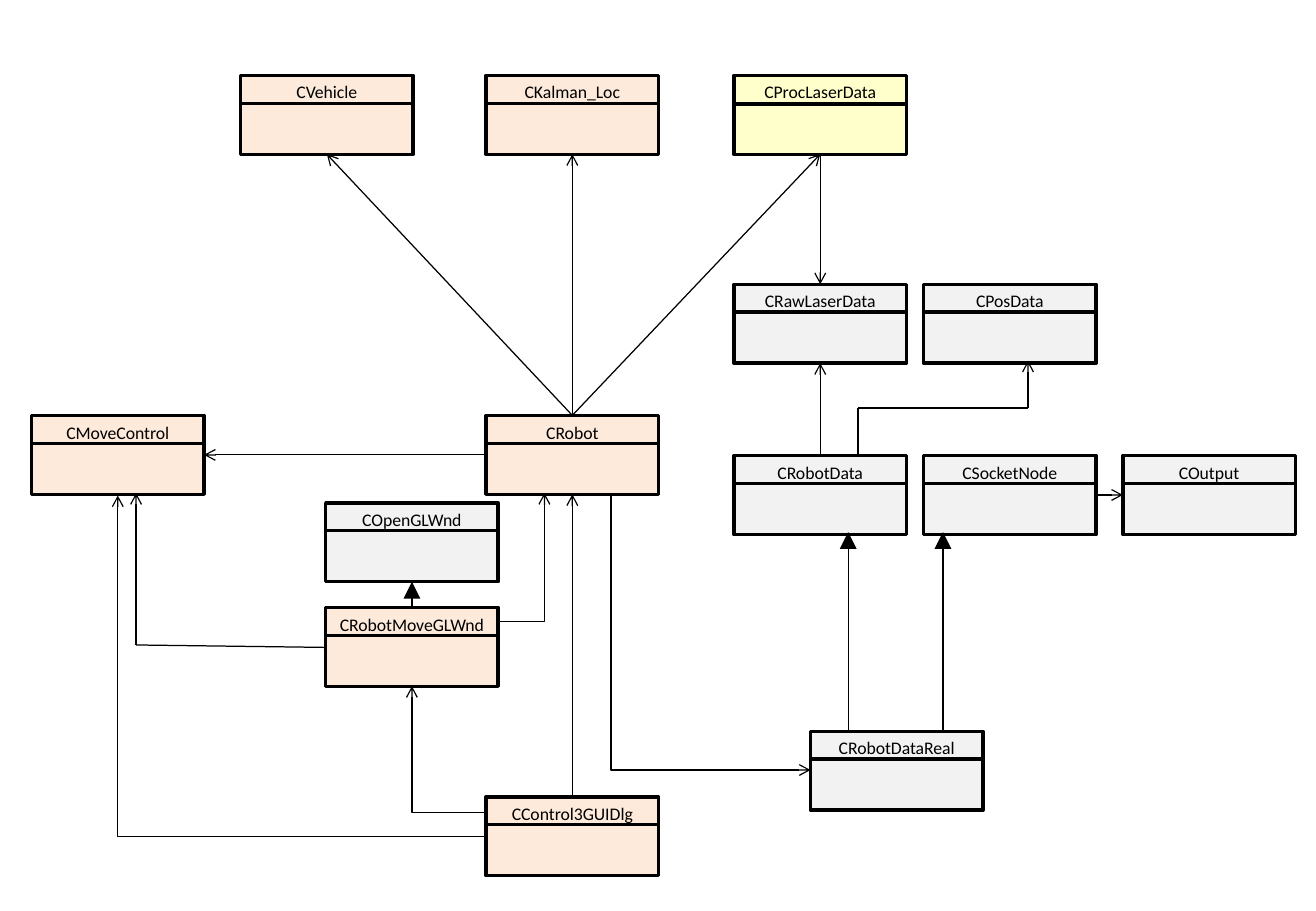
from lxml.etree import SubElement
from pptx import Presentation
from pptx.dml.color import RGBColor
from pptx.enum.shapes import MSO_CONNECTOR, MSO_SHAPE
from pptx.enum.text import MSO_ANCHOR, PP_ALIGN
from pptx.oxml.ns import qn
from pptx.util import Emu, Pt

PIXEL = 9144  # 100 px to the inch
BOX_WIDTH, BOX_HEIGHT = 142, 65
DIVIDER_OFFSET, TITLE_HEIGHT = 23, 25
TOP, LEFT, BOTTOM, RIGHT = range(4)
BLACK, PEACH, YELLOW, GRAY = "000000", "FDEADA", "FFFFCC", "F2F2F2"

CLASSES = [
    ("CVehicle", 198, 62, PEACH),
    ("CKalman_Loc", 400, 62, PEACH),
    ("CProcLaserData", 604, 62, YELLOW),
    ("COpenGLWnd", 268, 414, GRAY),
    ("CPosData", 760, 234, GRAY),
    ("CRawLaserData", 604, 234, GRAY),
    ("CRobot", 400, 342, PEACH),
    ("CMoveControl", 26, 342, PEACH),
    ("CRobotMoveGLWnd", 268, 500, PEACH),
    ("CControl3GUIDlg", 400, 656, PEACH),
    ("CRobotData", 604, 375, GRAY),
    ("CSocketNode", 760, 375, GRAY),
    ("COutput", 924, 375, GRAY),
    ("CRobotDataReal", 667, 602, GRAY),
]

# Source class and side, target class and side, arrowhead at the target
JOINS = [
    ("CRobot", TOP, "CKalman_Loc", BOTTOM, "arrow"),
    ("CRobot", LEFT, "CMoveControl", RIGHT, "arrow"),
    ("CControl3GUIDlg", TOP, "CRobot", BOTTOM, "arrow"),
    ("CRobotMoveGLWnd", TOP, "COpenGLWnd", BOTTOM, "triangle"),
    ("CRobotData", TOP, "CRawLaserData", BOTTOM, "arrow"),
    ("CProcLaserData", BOTTOM, "CRawLaserData", TOP, "arrow"),
    ("CSocketNode", RIGHT, "COutput", LEFT, "arrow"),
    ("CRobot", TOP, "CVehicle", BOTTOM, "arrow"),
    ("CRobot", TOP, "CProcLaserData", BOTTOM, "arrow"),
]

# Start, end, and the end that carries the arrowhead
ELBOWS = [
    ((400, 689), (97, 408), "tailEnd"),
    ((400, 669), (339, 565), "tailEnd"),
    ((410, 512), (448, 406), "tailEnd"),
    ((667, 634), (503, 406), "headEnd"),
]

ROUTES = [
    ([(268, 533), (112, 531), (112, 406)], "arrow"),
    ([(698, 602), (698, 438)], "triangle"),
    ([(776, 602), (776, 438)], "triangle"),
    ([(706, 375), (706, 336), (846, 336), (846, 297)], "arrow"),
]


def px(value):
    return Emu(value * PIXEL)


def color(hex_string):
    return RGBColor.from_string(hex_string)


def set_line(line, width):
    line.color.rgb = color(BLACK)
    line.width = Pt(width)


def add_line(shapes, start, end, width=0.75, kind=MSO_CONNECTOR.STRAIGHT):
    connector = shapes.add_connector(kind, *map(px, start + end))
    set_line(connector.line, width)
    SubElement(connector.element.spPr, qn("a:effectLst"))
    return connector


def add_arrowhead(connector, head, end="tailEnd"):
    size = "lg" if head == "triangle" else "med"
    line_xml = connector.element.spPr.find(qn("a:ln"))
    SubElement(line_xml, qn(f"a:{end}"), type=head, w=size, len=size)


def add_rectangle(shapes, left, top, height, width):
    shape = shapes.add_shape(
        MSO_SHAPE.RECTANGLE, px(left), px(top), px(BOX_WIDTH), px(height))
    shape.shadow.inherit = False
    set_line(shape.line, width)
    return shape


def add_title(shapes, name, left, top, outlined):
    if outlined:
        title = add_rectangle(shapes, left, top, TITLE_HEIGHT, 0.75)
        title.fill.background()
    else:
        title = shapes.add_textbox(
            px(left), px(top), px(BOX_WIDTH), px(TITLE_HEIGHT))
    frame = title.text_frame
    frame.word_wrap = True
    frame.vertical_anchor = MSO_ANCHOR.TOP
    frame.margin_left = frame.margin_right = 0
    paragraph = frame.paragraphs[0]
    paragraph.alignment = PP_ALIGN.CENTER
    run = paragraph.add_run()
    run.text = name
    run.font.name = "Calibri"
    run.font.size = Pt(10.5)
    run.font.color.rgb = color(BLACK)


def add_class(slide, name, left, top, fill):
    """Draw a class box with its name above a divider; return the box."""
    shapes = slide.shapes.add_group_shape().shapes
    box = add_rectangle(shapes, left, top, BOX_HEIGHT, 2)
    box.fill.solid()
    box.fill.fore_color.rgb = color(fill)
    divider = top + DIVIDER_OFFSET
    add_line(shapes, (left, divider), (left + BOX_WIDTH, divider), 2)
    add_title(shapes, name, left, top, outlined=fill == YELLOW)
    return box


def add_join(slide, source, source_side, target, target_side, head):
    connector = add_line(slide.shapes, (0, 0), (0, 0))
    connector.begin_connect(source, source_side)
    connector.end_connect(target, target_side)
    add_arrowhead(connector, head)


def add_elbow(slide, start, end, arrow_end):
    """Draw a connector that runs sideways first, then turns once."""
    connector = add_line(slide.shapes, start, end, kind=MSO_CONNECTOR.ELBOW)
    geometry = connector.element.spPr.find(qn("a:prstGeom"))
    geometry.set("prst", "bentConnector2")
    add_arrowhead(connector, "arrow", arrow_end)


def add_route(slide, points, head):
    """Draw straight segments through the points, with a head on the last."""
    for start, end in zip(points, points[1:]):
        segment = add_line(slide.shapes, start, end)
    add_arrowhead(segment, head)


def main():
    presentation = Presentation()
    presentation.slide_width = px(1083)
    presentation.slide_height = px(750)
    slide = presentation.slides.add_slide(presentation.slide_layouts[6])

    boxes = {}
    for name, left, top, fill in CLASSES:
        boxes[name] = add_class(slide, name, left, top, fill)
    for source, source_side, target, target_side, head in JOINS:
        add_join(slide, boxes[source], source_side, boxes[target], target_side, head)
    for start, end, arrow_end in ELBOWS:
        add_elbow(slide, start, end, arrow_end)
    for points, head in ROUTES:
        add_route(slide, points, head)

    presentation.save("out.pptx")


if __name__ == "__main__":
    main()
